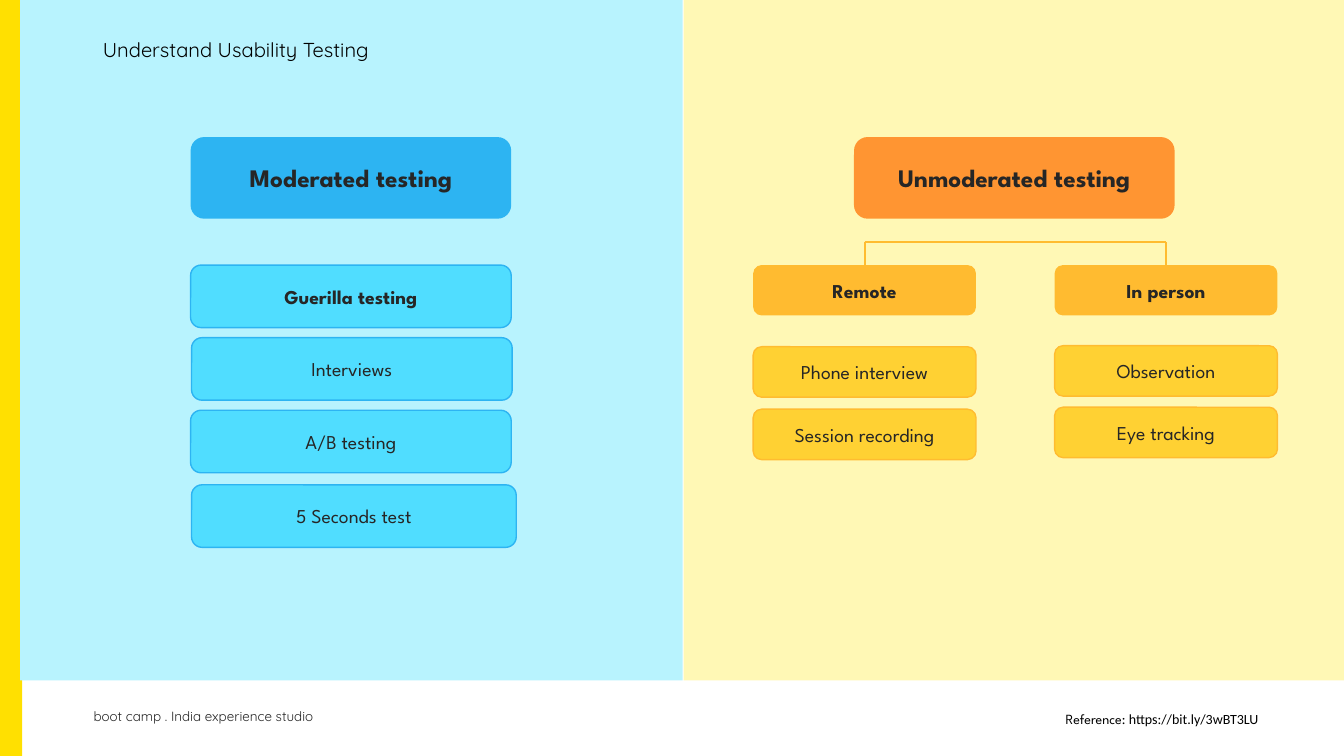
from dataclasses import dataclass

from lxml.etree import SubElement
from pptx import Presentation
from pptx.dml.color import RGBColor
from pptx.enum.shapes import MSO_CONNECTOR as Connector, MSO_SHAPE as Shape
from pptx.enum.text import MSO_ANCHOR as Anchor, MSO_AUTO_SIZE as AutoSize, PP_ALIGN as Align
from pptx.oxml.ns import qn
from pptx.util import Inches, Pt


@dataclass(frozen=True)
class Theme:
    """Fonts, type sizes and colours of the slide."""
    display: str = "League Spartan"
    plain: str = "Quicksand"
    link: str = "Calibri"
    heading_size: float = 18
    card_size: float = 14
    title_size: float = 14.4
    footer_size: float = 9.6
    reference_size: float = 10
    ink: str = "262626"
    black: str = "000000"
    stripe: str = "FFE001"
    blue_panel: str = "B8F3FE"
    yellow_panel: str = "FFF8B5"
    blue: str = "2DB4F2"
    light_blue: str = "50DDFF"
    orange: str = "FF9532"
    amber: str = "FFBB30"
    yellow: str = "FFD133"
    outline: str = "FFBC30"


THEME = Theme()


def add_span(para, text, font, size, color, bold=False):
    """Add one formatted run to a paragraph."""
    span = para.add_run()
    span.text = text
    span.font.name = font
    span.font.size = Pt(size)
    span.font.bold = bold
    span.font.color.rgb = RGBColor.from_string(color)


def add_block(page, kind, place, fill, outline=None):
    """Add a filled preset shape, with a thin outline if one is given."""
    box = page.shapes.add_shape(kind, *map(Inches, place))
    box.shadow.inherit = False
    box.fill.solid()
    box.fill.fore_color.rgb = RGBColor.from_string(fill)
    if outline:
        box.line.color.rgb = RGBColor.from_string(outline)
        box.line.width = Pt(1)
    else:
        box.line.fill.background()
    return box


def add_card(page, text, place, fill, outline=None, size=THEME.card_size, bold=False):
    """Add a rounded card with a centred label."""
    box = add_block(page, Shape.ROUNDED_RECTANGLE, place, fill, outline)
    frame = box.text_frame
    frame.word_wrap = True
    frame.vertical_anchor = Anchor.MIDDLE
    para = frame.paragraphs[0]
    para.alignment = Align.CENTER
    add_span(para, text, THEME.display, size, THEME.ink, bold)
    return box


def add_note(page, place, spans, align=Align.LEFT, wrap=True):
    """Add a footer text box made of (text, font, size, colour) runs."""
    frame = page.shapes.add_textbox(*map(Inches, place)).text_frame
    frame.word_wrap = wrap
    frame.auto_size = AutoSize.SHAPE_TO_FIT_TEXT
    para = frame.paragraphs[0]
    para.alignment = align
    for span in spans:
        add_span(para, *span)


def add_line(page, start, end):
    """Add a straight bracket line."""
    line = page.shapes.add_connector(Connector.STRAIGHT, *map(Inches, start + end))
    line.line.color.rgb = RGBColor.from_string(THEME.outline)
    line.line.width = Pt(1.5)
    SubElement(line.element.spPr, qn("a:effectLst"))
    return line


def set_title(page, text):
    """Place and format the title above the panels."""
    title = page.shapes.title
    title.left, title.top, title.width, title.height = map(Inches, (0.92, 0.38, 5.03, 0.25))
    frame = title.text_frame
    frame.auto_size = AutoSize.NONE
    frame.vertical_anchor = Anchor.MIDDLE
    para = frame.paragraphs[0]
    para.alignment = Align.LEFT
    para.line_spacing = 0.9
    add_span(para, text, THEME.plain, THEME.title_size, THEME.black)
    title.element.getparent().append(title.element)


def add_moderated(page):
    """Add the moderated heading and its stack of methods."""
    add_card(page, "Moderated testing", (1.89, 1.36, 3.18, 0.81), THEME.blue,
             size=THEME.heading_size, bold=True)
    methods = [("Guerilla testing", 1.89, 2.63, 3.18), ("Interviews", 1.9, 3.35, 3.18),
               ("A/B testing", 1.89, 4.07, 3.18), ("5 Seconds test", 1.9, 4.81, 3.22)]
    for index, (text, left, top, width) in enumerate(methods):
        add_card(page, text, (left, top, width, 0.62), THEME.light_blue, THEME.blue,
                 bold=index == 0)


def add_unmoderated(page):
    """Add the unmoderated heading, its two branches and their bracket."""
    add_card(page, "Unmoderated testing", (8.47, 1.36, 3.18, 0.81), THEME.orange,
             size=THEME.heading_size, bold=True)
    width, height, branch_top, bracket_top = 2.21, 0.5, 2.63, 2.4
    branches = [("Remote", 7.47, [("Phone interview", 3.44), ("Session recording", 4.06)]),
                ("In person", 10.46, [("Observation", 3.43), ("Eye tracking", 4.04)])]
    centers = [left + width / 2 for _, left, _ in branches]
    add_line(page, (centers[0], bracket_top), (centers[1], bracket_top))
    for (name, left, methods), center in zip(branches, centers):
        branch = add_card(page, name, (left, branch_top, width, height), THEME.amber, bold=True)
        for text, top in methods:
            add_card(page, text, (left, top, width, height), THEME.yellow, THEME.outline)
        stem = add_line(page, (center, branch_top), (center, bracket_top))
        stem.begin_connect(branch, 0)


def main():
    """Build the slide and save it."""
    deck = Presentation()
    deck.slide_width, deck.slide_height = Inches(13.33), Inches(7.5)
    page = deck.slides.add_slide(deck.slide_layouts[5])
    add_block(page, Shape.RECTANGLE, (0, 0, 0.22, 7.5), THEME.stripe)
    add_note(page, (0.83, 6.98, 6.67, 0.26),
             [("boot camp . India experience studio", THEME.plain, THEME.footer_size, THEME.ink)])
    add_note(page, (10.38, 7, 2.2, 0.27),
             [("Reference: ", THEME.display, THEME.reference_size, THEME.black),
              ("https://bit.ly/3wBT3LU", THEME.link, THEME.reference_size, THEME.black)],
             Align.RIGHT, wrap=False)
    add_block(page, Shape.RECTANGLE, (0.2, 0, 6.57, 6.75), THEME.blue_panel)
    add_block(page, Shape.RECTANGLE, (6.78, 0, 6.55, 6.75), THEME.yellow_panel)
    add_moderated(page)
    add_unmoderated(page)
    set_title(page, "Understand Usability Testing")
    deck.save("out.pptx")


if __name__ == "__main__":
    main()
